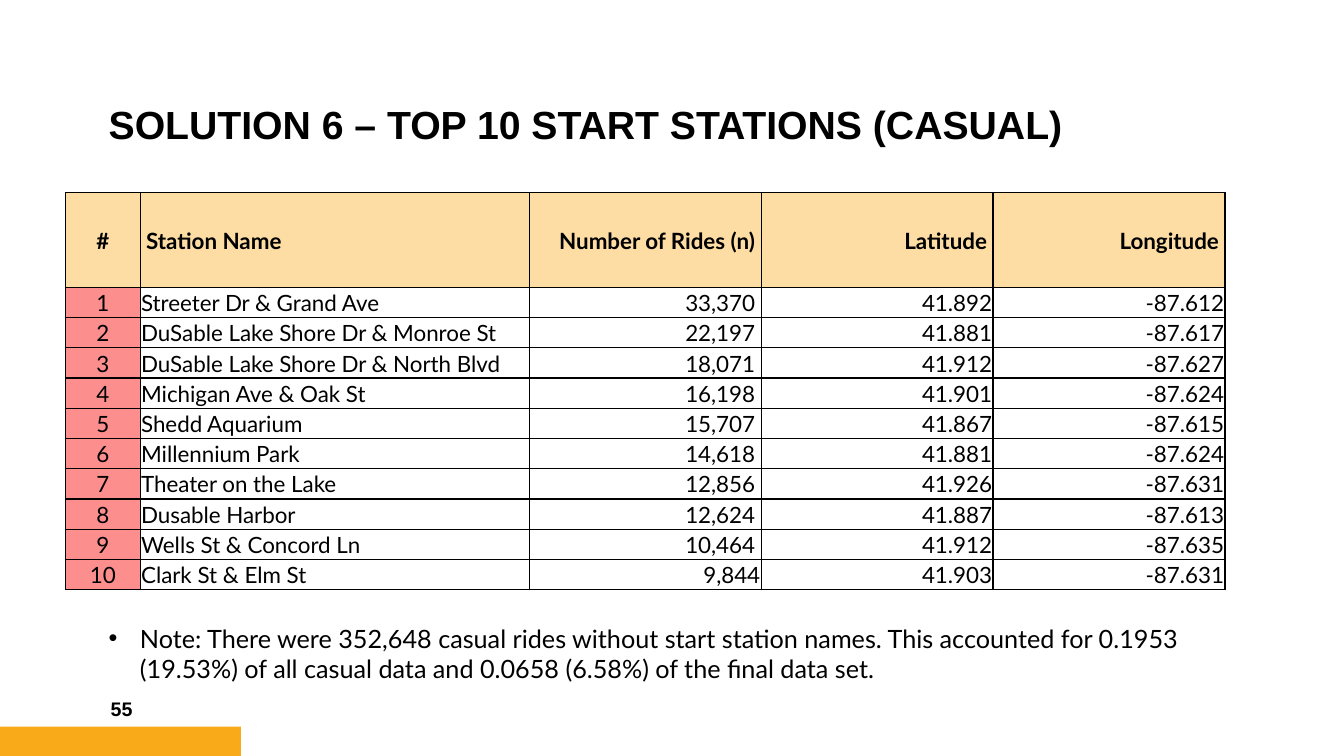
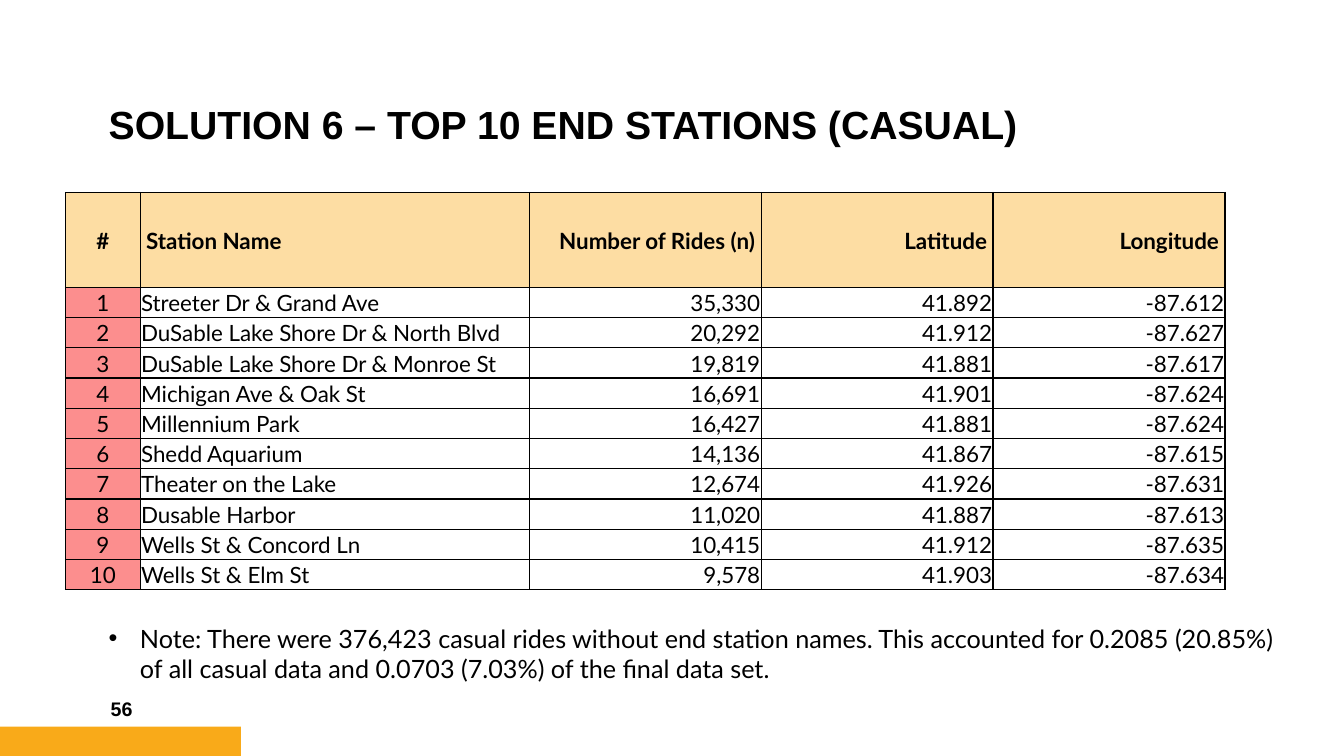
from dataclasses import dataclass

from lxml.etree import SubElement
from pptx import Presentation
from pptx.dml.color import RGBColor
from pptx.enum.shapes import MSO_SHAPE
from pptx.enum.text import MSO_ANCHOR, PP_ALIGN
from pptx.oxml import parse_xml
from pptx.oxml.ns import nsdecls, qn
from pptx.util import Pt

PX = 9144


@dataclass(frozen=True)
class Theme:
    """Colours, fonts and type sizes shared by all pages."""
    ink: str = "000000"
    paper: str = "FFFFFF"
    band: str = "F9AA19"
    header: str = "FDDDA3"
    rank: str = "FC8E8E"
    heading_font: str = "Arial"
    body_font: str = "Lato"
    title_size: int = 28
    number_size: int = 14
    note_size: int = 18
    table_size: int = 16


THEME = Theme()
HEADERS = ("#", "Station Name", "Number of Rides (n)", "Latitude", "Longitude")
COLUMN_WIDTHS = (74, 386, 230, 230, 230)
ALIGNMENTS = (PP_ALIGN.CENTER, PP_ALIGN.LEFT) + (PP_ALIGN.RIGHT,) * 3
HEADER_HEIGHT, ROW_HEIGHT = 94, 30
HEADER_MARGINS = (6, 5, 6, 3)
BODY_MARGINS = (1, 1, 1, 0)
PADDED_MARGINS = (1, 1, 6, 0)

COORDINATES = {
    "Streeter Dr & Grand Ave": ("41.892", "-87.612"),
    "DuSable Lake Shore Dr & Monroe St": ("41.881", "-87.617"),
    "DuSable Lake Shore Dr & North Blvd": ("41.912", "-87.627"),
    "Michigan Ave & Oak St": ("41.901", "-87.624"),
    "Shedd Aquarium": ("41.867", "-87.615"),
    "Millennium Park": ("41.881", "-87.624"),
    "Theater on the Lake": ("41.926", "-87.631"),
    "Dusable Harbor": ("41.887", "-87.613"),
    "Wells St & Concord Ln": ("41.912", "-87.635"),
    "Clark St & Elm St": ("41.903", "-87.631"),
    "Wells St & Elm St": ("41.903", "-87.634"),
}
START_RIDES = (
    ("Streeter Dr & Grand Ave", 33370),
    ("DuSable Lake Shore Dr & Monroe St", 22197),
    ("DuSable Lake Shore Dr & North Blvd", 18071),
    ("Michigan Ave & Oak St", 16198),
    ("Shedd Aquarium", 15707),
    ("Millennium Park", 14618),
    ("Theater on the Lake", 12856),
    ("Dusable Harbor", 12624),
    ("Wells St & Concord Ln", 10464),
    ("Clark St & Elm St", 9844),
)
END_RIDES = (
    ("Streeter Dr & Grand Ave", 35330),
    ("DuSable Lake Shore Dr & North Blvd", 20292),
    ("DuSable Lake Shore Dr & Monroe St", 19819),
    ("Michigan Ave & Oak St", 16691),
    ("Millennium Park", 16427),
    ("Shedd Aquarium", 14136),
    ("Theater on the Lake", 12674),
    ("Dusable Harbor", 11020),
    ("Wells St & Concord Ln", 10415),
    ("Wells St & Elm St", 9578),
)
START_NOTE = (
    "Note: There were 352,648 casual rides without start station names. This accounted for "
    "0.1953 (19.53%) of all casual data and 0.0658 (6.58%) of the final data set."
)
END_NOTE = (
    "Note: There were 376,423 casual rides without end station names. This accounted for "
    "0.2085 (20.85%) of all casual data and 0.0703 (7.03%) of the final data set."
)


def emu(*lengths):
    """Turn px lengths into EMU."""
    return [length * PX for length in lengths]


def style(para, font_name, size, bold=False):
    """Set the font of a whole paragraph."""
    font = para.font
    font.name, font.size, font.bold = font_name, Pt(size), bold
    font.color.rgb = RGBColor.from_string(THEME.ink)


def add_text(page, area, text, anchor):
    """Add a wrapping text box and return its paragraph."""
    frame = page.shapes.add_textbox(*emu(*area)).text_frame
    frame.word_wrap = True
    frame.vertical_anchor = anchor
    para = frame.paragraphs[0]
    para.text = text
    return para


def add_band(page):
    """Draw the colour band in the lower left corner."""
    band = page.shapes.add_shape(MSO_SHAPE.RECTANGLE, *emu(0, 721, 239, 30))
    band.shadow.inherit = False
    band.fill.solid()
    band.fill.fore_color.rgb = RGBColor.from_string(THEME.band)
    band.line.fill.background()


def add_title(page, text):
    """Add the page title."""
    para = add_text(page, (98, 15, 1023, 137), text, MSO_ANCHOR.BOTTOM)
    para.line_spacing = 0.9
    style(para, THEME.heading_font, THEME.title_size, bold=True)


def add_page_number(page, number):
    """Add the page number above the band."""
    para = add_text(page, (100, 683, 130, 40), str(number), MSO_ANCHOR.MIDDLE)
    style(para, THEME.heading_font, THEME.number_size, bold=True)


def add_note(page, text):
    """Add the bulleted note under the table."""
    para = add_text(page, (98, 613, 1182, 81), text, MSO_ANCHOR.TOP)
    properties = para._p.get_or_add_pPr()
    indent = 31 * PX
    properties.set("marL", str(indent))
    properties.set("indent", str(-indent))
    SubElement(properties, qn("a:buFont"), typeface=THEME.heading_font)
    SubElement(properties, qn("a:buChar"), char="•")
    para.space_after = Pt(12)
    style(para, THEME.body_font, THEME.note_size)


def add_borders(cell):
    """Draw a thin line on all four sides of a cell."""
    properties = cell._tc.get_or_add_tcPr()
    for index, side in enumerate("LRTB"):
        properties.insert(index, parse_xml(
            f'<a:ln{side} {nsdecls("a")} w="{Pt(1)}"><a:solidFill>'
            f'<a:srgbClr val="{THEME.ink}"/></a:solidFill></a:ln{side}>'))


def fill_cell(cell, text, color, alignment, margins, bold):
    """Write and format one table cell."""
    cell.fill.solid()
    cell.fill.fore_color.rgb = RGBColor.from_string(color)
    cell.vertical_anchor = MSO_ANCHOR.MIDDLE
    (cell.margin_left, cell.margin_top,
     cell.margin_right, cell.margin_bottom) = emu(*margins)
    para = cell.text_frame.paragraphs[0]
    para.text = text
    para.alignment = alignment
    style(para, THEME.body_font, THEME.table_size, bold)
    add_borders(cell)


def add_station_table(page, rides, padded_rows):
    """Add the ranking, with the first ride counts set in from the cell edge."""
    rows = [HEADERS]
    for rank, (station, count) in enumerate(rides, 1):
        rows.append((str(rank), station, f"{count:,}", *COORDINATES[station]))
    height = HEADER_HEIGHT + ROW_HEIGHT * len(rides)
    area = emu(65, 191, sum(COLUMN_WIDTHS), height)
    table = page.shapes.add_table(len(rows), len(HEADERS), *area).table
    table.first_row = table.horz_banding = False
    for column, width in zip(table.columns, COLUMN_WIDTHS):
        column.width = width * PX
    for row_index, texts in enumerate(rows):
        is_header = row_index == 0
        table.rows[row_index].height = (HEADER_HEIGHT if is_header else ROW_HEIGHT) * PX
        for column_index, text in enumerate(texts):
            color = THEME.rank if column_index == 0 else THEME.paper
            margins = BODY_MARGINS
            if is_header:
                color, margins = THEME.header, HEADER_MARGINS
            elif column_index == 2 and row_index <= padded_rows:
                margins = PADDED_MARGINS
            fill_cell(table.cell(row_index, column_index), text, color,
                      ALIGNMENTS[column_index], margins, is_header)


def add_ranking_page(deck, number, title, rides, note, padded_rows=0):
    """Build one page with a station ranking."""
    page = deck.slides.add_slide(deck.slide_layouts[6])
    add_band(page)
    add_title(page, title)
    add_page_number(page, number)
    add_station_table(page, rides, padded_rows)
    add_note(page, note)


def main():
    """Build and save the deck."""
    deck = Presentation()
    deck.slide_width, deck.slide_height = emu(1333, 750)
    add_ranking_page(deck, 55, "SOLUTION 6 – TOP 10 START STATIONS (CASUAL)",
                     START_RIDES, START_NOTE, padded_rows=9)
    add_ranking_page(deck, 56, "SOLUTION 6 – TOP 10 END STATIONS (CASUAL)",
                     END_RIDES, END_NOTE)
    deck.save("out.pptx")


if __name__ == "__main__":
    main()
